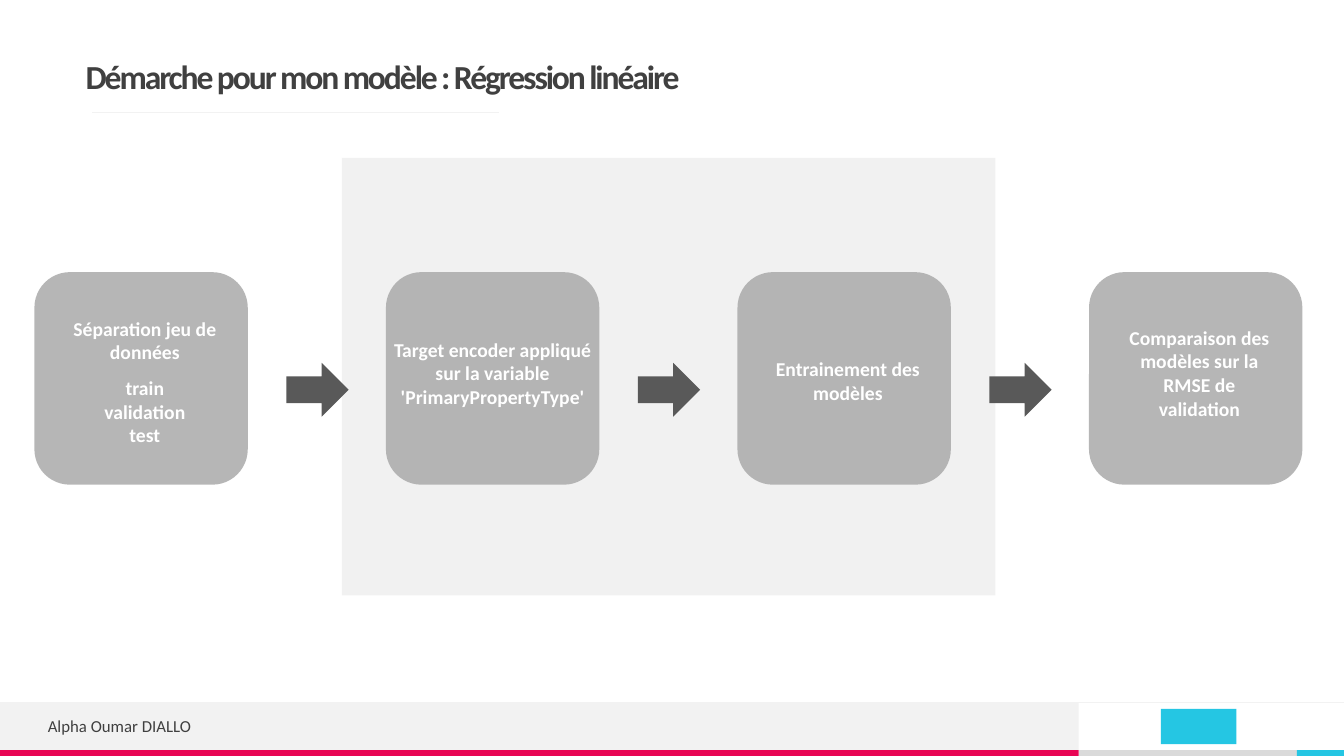
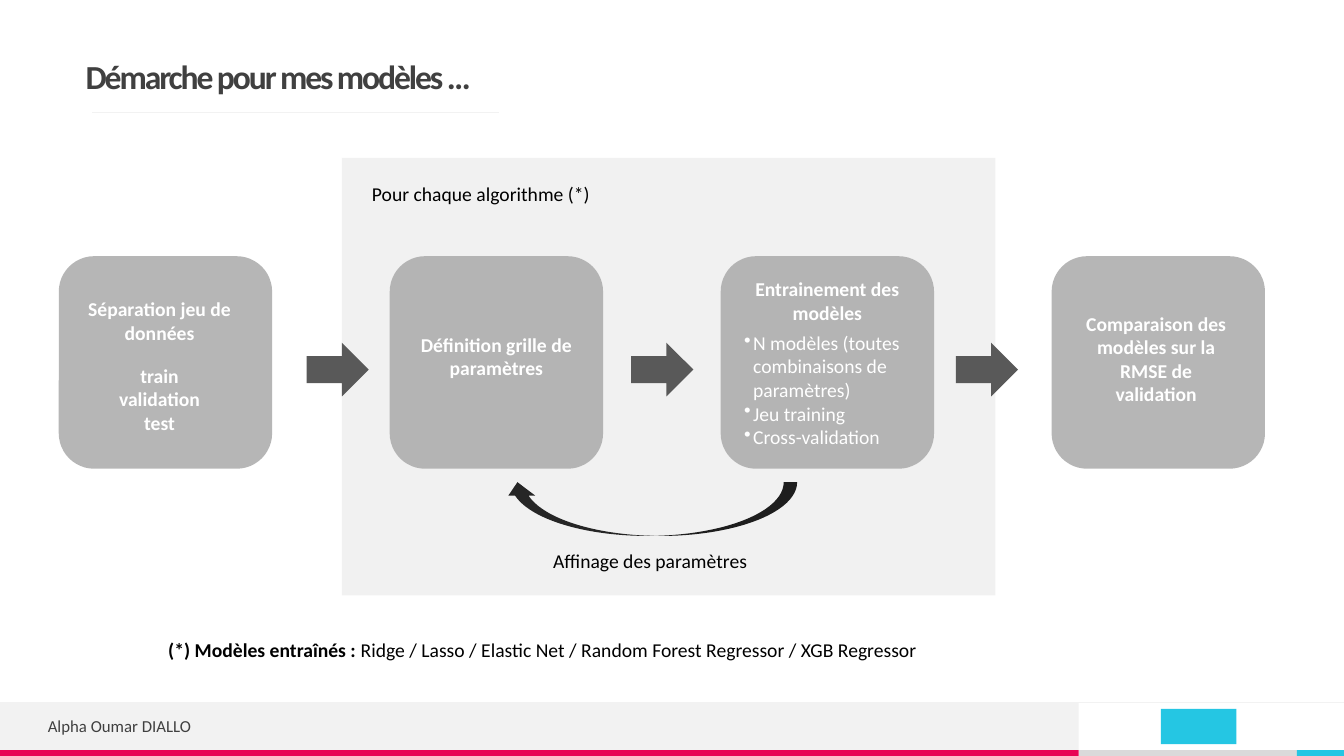
"""Build two slides showing the steps of a modelling process."""
from lxml.etree import SubElement
from pptx import Presentation
from pptx.dml.color import RGBColor
from pptx.enum.shapes import MSO_CONNECTOR, MSO_SHAPE
from pptx.enum.text import MSO_ANCHOR, MSO_AUTO_SIZE, PP_ALIGN
from pptx.oxml.ns import qn
from pptx.util import Inches, Pt

GRID_COLUMNS, GRID_ROWS = 160, 90
SLIDE_WIDTH, SLIDE_HEIGHT = Inches(13.333), Inches(7.5)
COLORS = {
    "title": "404040", "text": "000000", "white": "FFFFFF", "pale": "F2F2F2",
    "panel": "D9D9D9", "box": "A6A6A6", "arrow": "595959", "loop": "262626",
    "strip": "DADADA", "red": "E80554", "cyan": "25C6E3",
}
FONT = {"name": "Calibri", "size": Pt(14), "bold": False}
TITLE_FONT = {"name": "Calibri", "size": Pt(24), "bold": True}
FOOTER_FONT = {"name": "Calibri", "size": Pt(12), "bold": False}
NO_MARGINS = {"margin_left": 0, "margin_top": 0, "margin_right": 0, "margin_bottom": 0,
              "vertical_anchor": MSO_ANCHOR.MIDDLE}
BAND_TOP, STRIP_TOP, BAND_END, STRIP_END = 83.6, 89.3, 128.4, 154.4
BOX_WIDTH, BOX_HEIGHT = 25.4, 25.3
ARROW_WIDTH, ARROW_HEIGHT = 7.4, 6.4
LABEL_WIDTH = 21.1
SPLIT = ["train", "validation", "test"]
SEPARATION = "Séparation jeu de données"
TRAINING = "Entrainement des modèles"
COMPARISON = "Comparaison des modèles sur la RMSE de validation"


def grid(left, top, width, height):
    """Turn grid columns and rows into slide lengths."""
    column, row = SLIDE_WIDTH / GRID_COLUMNS, SLIDE_HEIGHT / GRID_ROWS
    return [round(value) for value in (left * column, top * row, width * column, height * row)]


def apply_values(target, values):
    """Set each attribute listed in a dict."""
    for name, value in values.items():
        setattr(target, name, value)


def style_font(font, values, color):
    """Set font values and colour."""
    apply_values(font, values)
    font.color.rgb = RGBColor.from_string(COLORS[color])


def add_block(slide, preset, place, color, opacity=None):
    """Add a filled shape without an outline."""
    shape = slide.shapes.add_shape(preset, *grid(*place))
    shape.shadow.inherit = False
    shape.fill.solid()
    shape.fill.fore_color.rgb = RGBColor.from_string(COLORS[color])
    shape.line.fill.background()
    if opacity:
        fill_color = shape.element.spPr.find(qn("a:solidFill"))[0]
        SubElement(fill_color, qn("a:alpha"), val=str(opacity * 1000))
    return shape


def add_rule(slide, left, right, top):
    """Add a thin horizontal line."""
    x, y, width, _ = grid(left, top, right - left, 0)
    connector = slide.shapes.add_connector(MSO_CONNECTOR.STRAIGHT, x, y, x + width, y)
    connector.line.color.rgb = RGBColor.from_string(COLORS["pale"])
    connector.line.width = Pt(0.5)
    SubElement(connector.element.spPr, qn("a:effectLst"))


def add_bullet(paragraph):
    """Give a paragraph a hanging bullet."""
    properties = paragraph._p.get_or_add_pPr()
    indent = Inches(0.09)
    properties.set("marL", str(indent))
    properties.set("indent", str(-indent))
    SubElement(properties, qn("a:buChar"), char="•")


def add_text(slide, place, paragraphs, color="text", font=FONT, align=PP_ALIGN.CENTER,
             bullets=False, frame_values=None):
    """Add a text box; a paragraph is a string or a list of text and bold pairs."""
    frame = slide.shapes.add_textbox(*grid(*place)).text_frame
    frame.word_wrap = True
    apply_values(frame, frame_values or {})
    for index, content in enumerate(paragraphs):
        paragraph = frame.add_paragraph() if index else frame.paragraphs[0]
        if bullets:
            add_bullet(paragraph)
        paragraph.alignment = align
        runs = [(content, font["bold"])] if isinstance(content, str) else content
        for text, bold in runs:
            run = paragraph.add_run()
            run.text = text
            style_font(run.font, {**font, "bold": bold}, color)


def add_base(presentation, title_text):
    """Add a slide with the shared title, panel and footer band."""
    slide = presentation.slides.add_slide(presentation.slide_layouts[5])
    rectangle = MSO_SHAPE.RECTANGLE
    strip_height = GRID_ROWS - STRIP_TOP
    for left, right, top, height, color in (
        (BAND_END, STRIP_END, STRIP_TOP, strip_height, "strip"),
        (0, BAND_END, BAND_TOP, STRIP_TOP - BAND_TOP, "pale"),
        (0, BAND_END, STRIP_TOP, strip_height, "red"),
        (STRIP_END, GRID_COLUMNS, STRIP_TOP, strip_height, "cyan"),
        (138.2, 147.2, 84.4, 4.2, "cyan"),
    ):
        add_block(slide, rectangle, (left, top, right - left, height), color)
    add_rule(slide, 0, GRID_COLUMNS, BAND_TOP)
    add_block(slide, rectangle, (40.7, 18.8, 77.8, 52.1), "panel", 35)
    add_rule(slide, 11, 59.4, 13.4)
    add_text(slide, (5.7, 84.5, 74.3, 3.8), ["Alpha Oumar DIALLO"], "title", FOOTER_FONT,
             PP_ALIGN.LEFT, frame_values=NO_MARGINS)

    title = slide.shapes.title
    title_place = zip(("left", "top", "width", "height"), grid(10.2, 6.5, 130.7, 5.6))
    apply_values(title, dict(title_place))
    frame = title.text_frame
    apply_values(frame, {**NO_MARGINS, "auto_size": MSO_AUTO_SIZE.NONE, "word_wrap": True})
    paragraph = frame.paragraphs[0]
    apply_values(paragraph, {"alignment": PP_ALIGN.LEFT, "line_spacing": 0.9})
    run = paragraph.add_run()
    run.text = title_text
    style_font(run.font, TITLE_FONT, "title")
    run._r.get_or_add_rPr().set("spc", "-150")
    return slide


def add_steps(slide, first, pitch, top, labels):
    """Add evenly spaced boxes with labels centred on them, give or take a shift."""
    for index in range(4):
        place = (first + index * pitch, top, BOX_WIDTH, BOX_HEIGHT)
        add_block(slide, MSO_SHAPE.ROUNDED_RECTANGLE, place, "box", 81)
    for index, paragraphs, label_top, width, shift in labels:
        left = first + index * pitch + (BOX_WIDTH - width) / 2 + shift
        height = 4 + 2.8 * (len(paragraphs) - 1)
        add_text(slide, (left, label_top, width, height), paragraphs, "white",
                 {**FONT, "bold": True})


def add_arrows(slide, first, pitch, top):
    """Add the three evenly spaced arrows between the boxes."""
    for index in range(3):
        place = (first + index * pitch, top, ARROW_WIDTH, ARROW_HEIGHT)
        add_block(slide, MSO_SHAPE.RIGHT_ARROW, place, "arrow")


def add_regression_slide(presentation):
    """Add the linear regression process."""
    slide = add_base(presentation, "Démarche pour mon modèle : Régression linéaire")
    add_steps(slide, 4.1, 41.85, 32.4, [
        (0, [SEPARATION], 37.1, LABEL_WIDTH, 0.45),
        (0, SPLIT, 44.2, 19, 0.45),
        (1, ["Target encoder appliqué sur la variable 'PrimaryPropertyType'"], 39.6, 26.2, 0),
        (2, [TRAINING], 41.9, LABEL_WIDTH, 0.45),
        (3, [COMPARISON], 38.2, LABEL_WIDTH, 0.45),
    ])
    add_arrows(slide, 34.1, 41.85, 43.2)


def add_models_slide(presentation):
    """Add the process repeated for each algorithm."""
    slide = add_base(presentation, "Démarche pour mes modèles …")
    add_steps(slide, 7, 39.4, 30.5, [
        (0, [SEPARATION], 34.8, LABEL_WIDTH, -0.7),
        (0, SPLIT, 42.7, 19, -0.7),
        (1, ["Définition grille de paramètres"], 39, LABEL_WIDTH, 0),
        (2, [TRAINING], 32.4, LABEL_WIDTH, 0),
        (3, [COMPARISON], 36.5, LABEL_WIDTH, -0.25),
    ])
    add_arrows(slide, 36.5, 38.65, 40.8)
    add_text(slide, (87.4, 38.8, 22.1, 15.4),
             ["N modèles (toutes combinaisons de paramètres)", "Jeu training", "Cross-validation"],
             "white", align=PP_ALIGN.LEFT, bullets=True)
    add_text(slide, (43.1, 21.1, 46.4, 4), ["Pour chaque algorithme (*)"], align=PP_ALIGN.LEFT)
    loop = add_block(slide, MSO_SHAPE.CURVED_UP_ARROW, (60, 57.4, 34.9, 6.4), "loop")
    loop.element.spPr.find(qn("a:xfrm")).set("flipH", "1")
    add_text(slide, (54.2, 64.8, 46.4, 4), ["Affinage des paramètres"])
    add_text(slide, (15.4, 75.4, 98.4, 4), [[
        ("(*) Modèles entraînés : ", True),
        ("Ridge / Lasso / Elastic Net / Random Forest Regressor / XGB Regressor", False),
    ]])


def main():
    """Build and save the presentation."""
    presentation = Presentation()
    apply_values(presentation, {"slide_width": SLIDE_WIDTH, "slide_height": SLIDE_HEIGHT})
    add_regression_slide(presentation)
    add_models_slide(presentation)
    presentation.save("out.pptx")


if __name__ == "__main__":
    main()
